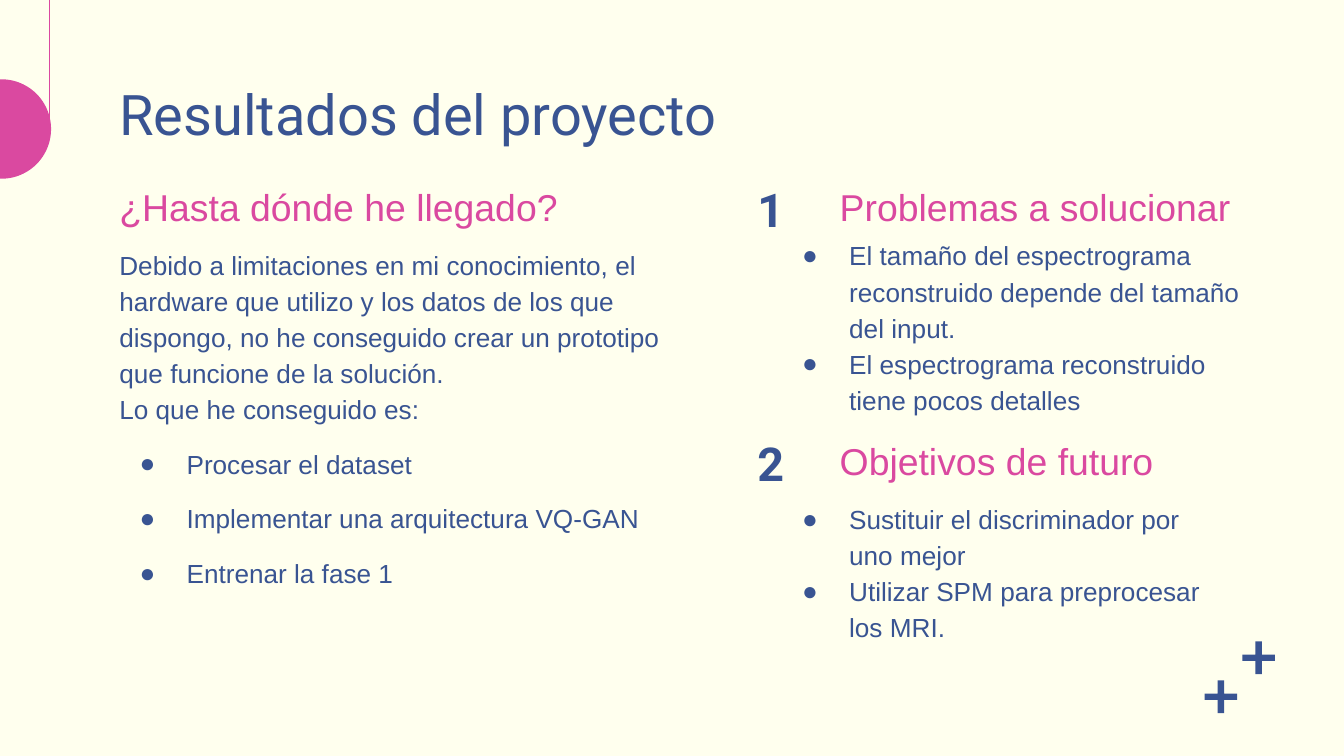
from dataclasses import dataclass

import pptx
import pptx.util
import pptx.dml.color
import pptx.enum.shapes
import pptx.enum.text
import pptx.oxml
import pptx.oxml.ns

Inches = pptx.util.Inches
Pt = pptx.util.Pt
Kind = pptx.enum.shapes.MSO_SHAPE
Anchor = pptx.enum.text.MSO_ANCHOR
Align = pptx.enum.text.PP_ALIGN


@dataclass(frozen=True)
class Theme:
    paper: str = "FFFFEE"
    pink: str = "DA49A0"
    blue: str = "395492"
    sans: str = "Arial"
    display: str = "Roboto"
    title: int = 30
    number: int = 25
    head: int = 20
    body: int = 14
    spacing: float = 1.15


@dataclass(frozen=True)
class Style:
    size: int
    color: str
    font: str
    bold: bool = False


@dataclass(frozen=True)
class Box:
    left: float
    top: float
    width: float
    height: float

    def emu(self) -> list:
        return [Inches(v) for v in (self.left, self.top, self.width, self.height)]


@dataclass(frozen=True)
class Para:
    text: str
    bullet: bool = False
    before: int = 0
    after: int = 0


@dataclass(frozen=True)
class Topic:
    number: str
    top: float
    head: str
    width: float
    body: Box
    items: tuple


THEME = Theme()
TITLE = Style(THEME.title, THEME.blue, THEME.display)
NUMBER = Style(THEME.number, THEME.blue, THEME.display, True)
HEAD = Style(THEME.head, THEME.pink, THEME.sans)
BODY = Style(THEME.body, THEME.blue, THEME.sans)

INTRO = (
    Para("Debido a limitaciones en mi conocimiento, el hardware que utilizo y los "
         "datos de los que dispongo, no he conseguido crear un prototipo que "
         "funcione de la solución."),
    Para("Lo que he conseguido es:"),
    Para("Procesar el dataset", True, 10),
    Para("Implementar una arquitectura VQ-GAN", True, 10),
    Para("Entrenar la fase 1", True, 10, 10),
)
TOPICS = (
    Topic("1", 1.25, "Problemas a solucionar", 3.37, Box(5.72, 1.65, 3.65, 1.29), (
        Para("El tamaño del espectrograma reconstruido depende del tamaño del input.", True),
        Para("El espectrograma reconstruido tiene pocos detalles", True))),
    Topic("2", 3.14, "Objetivos de futuro", 3.07, Box(5.72, 3.61, 3.5, 1.29), (
        Para("Sustituir el discriminador por uno mejor", True),
        Para("Utilizar SPM para preprocesar los MRI.", True))),
)
PLUSES = (Box(8.92, 5.02, 0.33, 0.33), Box(9.2, 4.73, 0.33, 0.33))


def rgb(code: str) -> pptx.dml.color.RGBColor:
    return pptx.dml.color.RGBColor.from_string(code)


def add_bullet(para, color: str) -> None:
    props = para._p.get_or_add_pPr()
    props.set("marL", str(Inches(0.5)))
    props.set("indent", str(Inches(-0.35)))
    space = pptx.oxml.ns.nsdecls("a")
    for xml in (f'<a:buClr {space}><a:srgbClr val="{color}"/></a:buClr>',
                f'<a:buFont {space} typeface="{THEME.sans}"/>',
                f'<a:buChar {space} char="●"/>'):
        props.append(pptx.oxml.parse_xml(xml))


def fill_text(shape, paras: tuple, style: Style, anchor=Anchor.TOP,
              align=Align.LEFT, spacing: float = THEME.spacing) -> None:
    frame = shape.text_frame
    frame.word_wrap = True
    frame.vertical_anchor = anchor
    frame.margin_left = frame.margin_right = Inches(0.1)
    frame.margin_top = frame.margin_bottom = Inches(0.1)
    frame.text = "\n".join(item.text for item in paras)
    for para, item in zip(frame.paragraphs, paras):
        if item.bullet:
            add_bullet(para, style.color)
        para.alignment = align
        para.line_spacing = spacing
        para.space_before = Pt(item.before)
        para.space_after = Pt(item.after)
        for run in para.runs:
            run.font.size = Pt(style.size)
            run.font.name = style.font
            run.font.bold = style.bold
            run.font.color.rgb = rgb(style.color)


def add_text(slide, box: Box, paras: tuple, style: Style, **look) -> None:
    fill_text(slide.shapes.add_textbox(*box.emu()), paras, style, **look)


def add_shape(slide, kind, box: Box, color: str = ""):
    """Add a shape with no outline; without a colour it stays clear."""
    shape = slide.shapes.add_shape(kind, *box.emu())
    shape.shadow.inherit = False
    shape.line.fill.background()
    if color:
        shape.fill.solid()
        shape.fill.fore_color.rgb = rgb(color)
    else:
        shape.fill.background()
    return shape


def add_decor(slide) -> None:
    add_shape(slide, Kind.OVAL, Box(-0.36, 0.59, 0.74, 0.74), THEME.pink)
    for box in PLUSES:
        plus = add_shape(slide, Kind.MATH_PLUS, box, THEME.blue)
        plus.adjustments[0] = 0.144
    line = slide.shapes.add_connector(
        pptx.enum.shapes.MSO_CONNECTOR.STRAIGHT,
        Inches(0.37), Inches(0.99), Inches(0.37), Inches(-0.01))
    line.line.color.rgb = rgb(THEME.pink)
    line.line.width = Pt(0.75)
    line._element.spPr.append(pptx.oxml.parse_xml(
        f'<a:effectLst {pptx.oxml.ns.nsdecls("a")}/>'))


def add_head(slide, box: Box, text: str) -> None:
    add_text(slide, box, (Para(text),), HEAD, anchor=Anchor.BOTTOM)


def add_topic(slide, topic: Topic) -> None:
    disc = add_shape(slide, Kind.OVAL, Box(5.45, topic.top - 0.01, 0.57, 0.57))
    fill_text(disc, (Para(topic.number),), NUMBER, Anchor.MIDDLE, Align.CENTER)
    add_head(slide, Box(6.15, topic.top, topic.width, 0.55), topic.head)
    add_text(slide, topic.body, topic.items, BODY)


def main() -> None:
    deck = pptx.Presentation()
    deck.slide_width = Inches(10)
    deck.slide_height = deck.slide_width * 9 // 16
    slide = deck.slides.add_slide(deck.slide_layouts[6])
    slide.background.fill.solid()
    slide.background.fill.fore_color.rgb = rgb(THEME.paper)

    add_decor(slide)
    add_text(slide, Box(0.79, 0.49, 8.43, 0.63),
             (Para("Resultados del proyecto"),), TITLE, spacing=1.0)
    add_text(slide, Box(0.79, 1.72, 4.53, 3.18), INTRO, BODY)
    add_head(slide, Box(0.79, 1.25, 4.53, 0.55), "¿Hasta dónde he llegado?")
    for topic in TOPICS:
        add_topic(slide, topic)

    deck.save("out.pptx")


if __name__ == "__main__":
    main()
